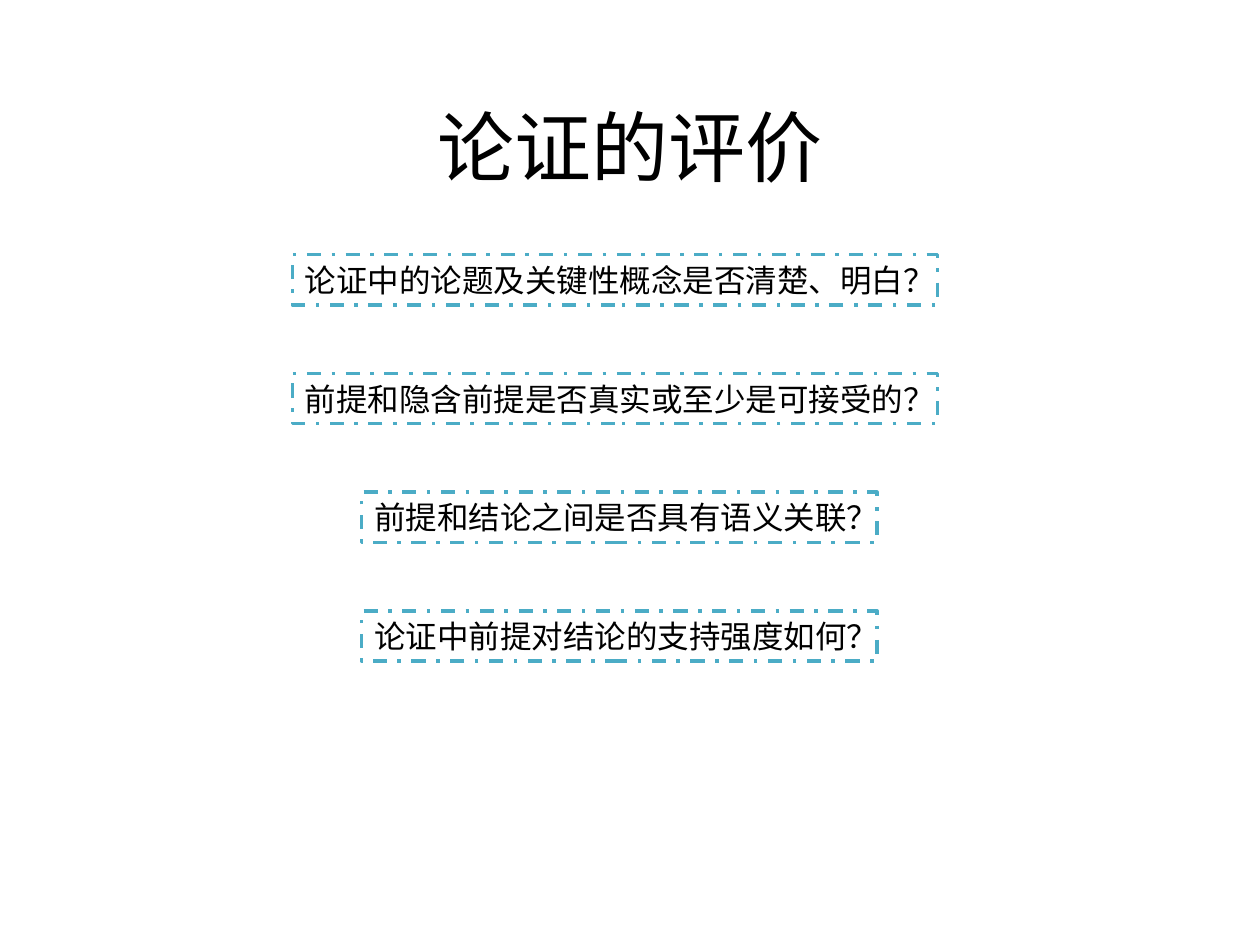
from lxml.etree import SubElement
from pptx import Presentation
from pptx.dml.color import RGBColor
from pptx.enum.dml import MSO_LINE
from pptx.enum.shapes import MSO_SHAPE
from pptx.enum.text import MSO_ANCHOR, PP_ALIGN
from pptx.oxml.ns import qn
from pptx.util import Inches, Pt

SLIDE_W, SLIDE_H = 10, 7.5
FIRST_ROW, ROW_STEP, ROW_H = 2.02, 0.943, 0.4
LONG, SHORT = (2.32, 5.12), (2.87, 4.09)  # left and width of a question box

QUESTIONS = [
    ("论证中的论题及关键性概念是否清楚、明白？", LONG),
    ("前提和隐含前提是否真实或至少是可接受的？", LONG),
    ("前提和结论之间是否具有语义关联？", SHORT),
    ("论证中前提对结论的支持强度如何？", SHORT),
]


def color(hex_value):
    return RGBColor.from_string(hex_value)


def write(paragraph, words, size, face, align):
    paragraph.alignment = align
    run = paragraph.add_run()
    run.text = words
    run.font.size = Pt(size)
    run.font.color.rgb = color("000000")
    run.font.name = face
    # Chinese characters take the East Asian typeface
    SubElement(run.font._element, qn("a:ea"), typeface=face)


def place_title(slide, words, left, top, width, height):
    title = slide.shapes.title
    title.left, title.top = Inches(left), Inches(top)
    title.width, title.height = Inches(width), Inches(height)
    title.text_frame.vertical_anchor = MSO_ANCHOR.MIDDLE
    write(title.text_frame.paragraphs[0], words, 44, "Noto Sans CJK JP", PP_ALIGN.CENTER)


def place_question(slide, words, left, top, width, height):
    question = slide.shapes.add_shape(
        MSO_SHAPE.RECTANGLE, Inches(left), Inches(top), Inches(width), Inches(height))
    question.shadow.inherit = False
    question.fill.solid()
    question.fill.fore_color.rgb = color("FFFFFF")
    question.line.color.rgb = color("4BACC6")
    question.line.width = Pt(2)
    question.line.dash_style = MSO_LINE.DASH_DOT
    frame = question.text_frame
    frame.word_wrap = False
    frame.margin_right = 0
    frame.vertical_anchor = MSO_ANCHOR.MIDDLE
    write(frame.paragraphs[0], words, 18, "Noto Sans CJK SC", PP_ALIGN.LEFT)


def main():
    deck = Presentation()
    deck.slide_width, deck.slide_height = Inches(SLIDE_W), Inches(SLIDE_H)
    slide = deck.slides.add_slide(deck.slide_layouts[5])

    # Heading
    place_title(slide, "论证的评价", 0.05 * SLIDE_W, 0.53, 0.9 * SLIDE_W, SLIDE_H / 6)

    # Evenly spaced questions
    for row, (words, (left, width)) in enumerate(QUESTIONS):
        place_question(slide, words, left, FIRST_ROW + row * ROW_STEP, width, ROW_H)

    deck.save("out.pptx")


if __name__ == "__main__":
    main()
